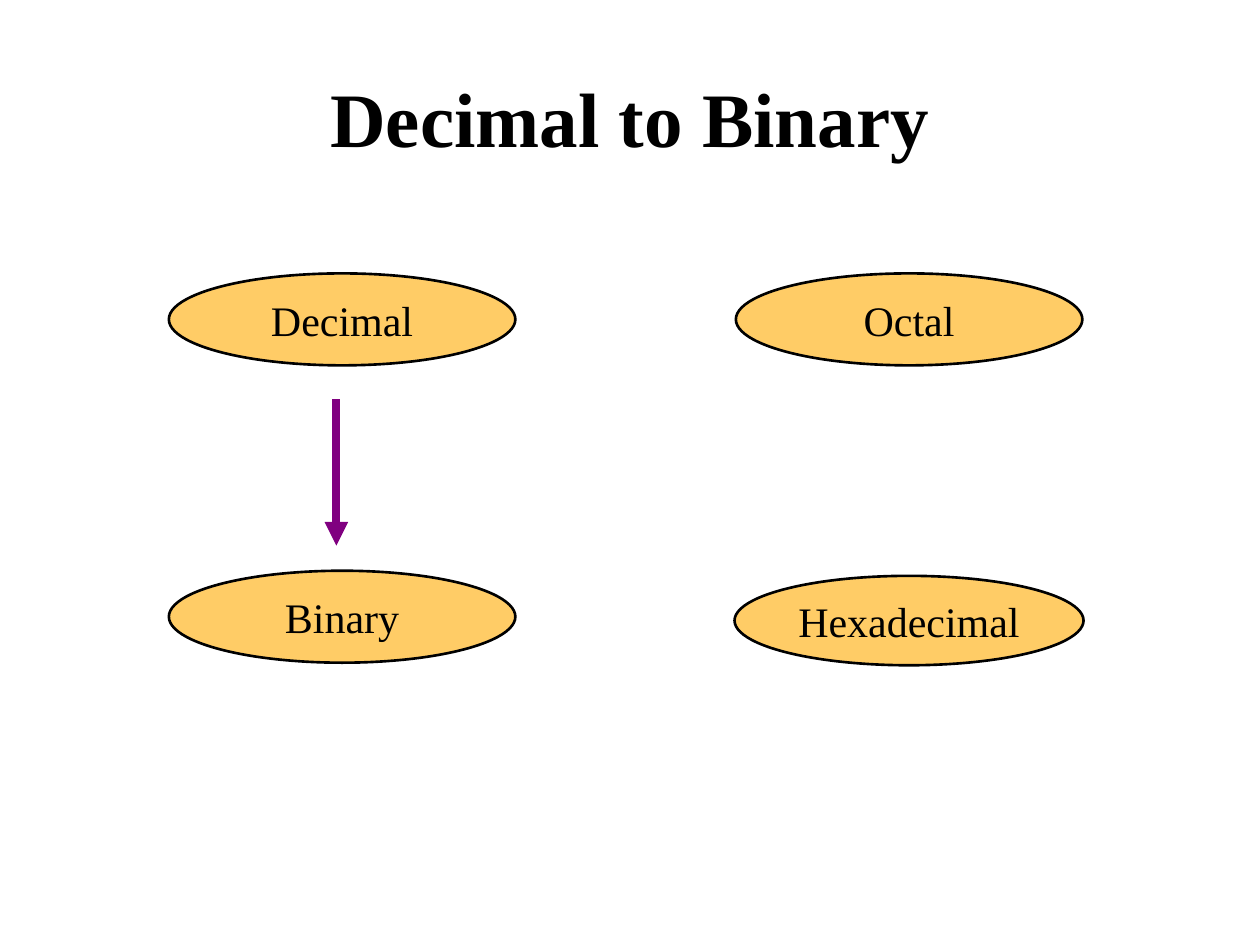
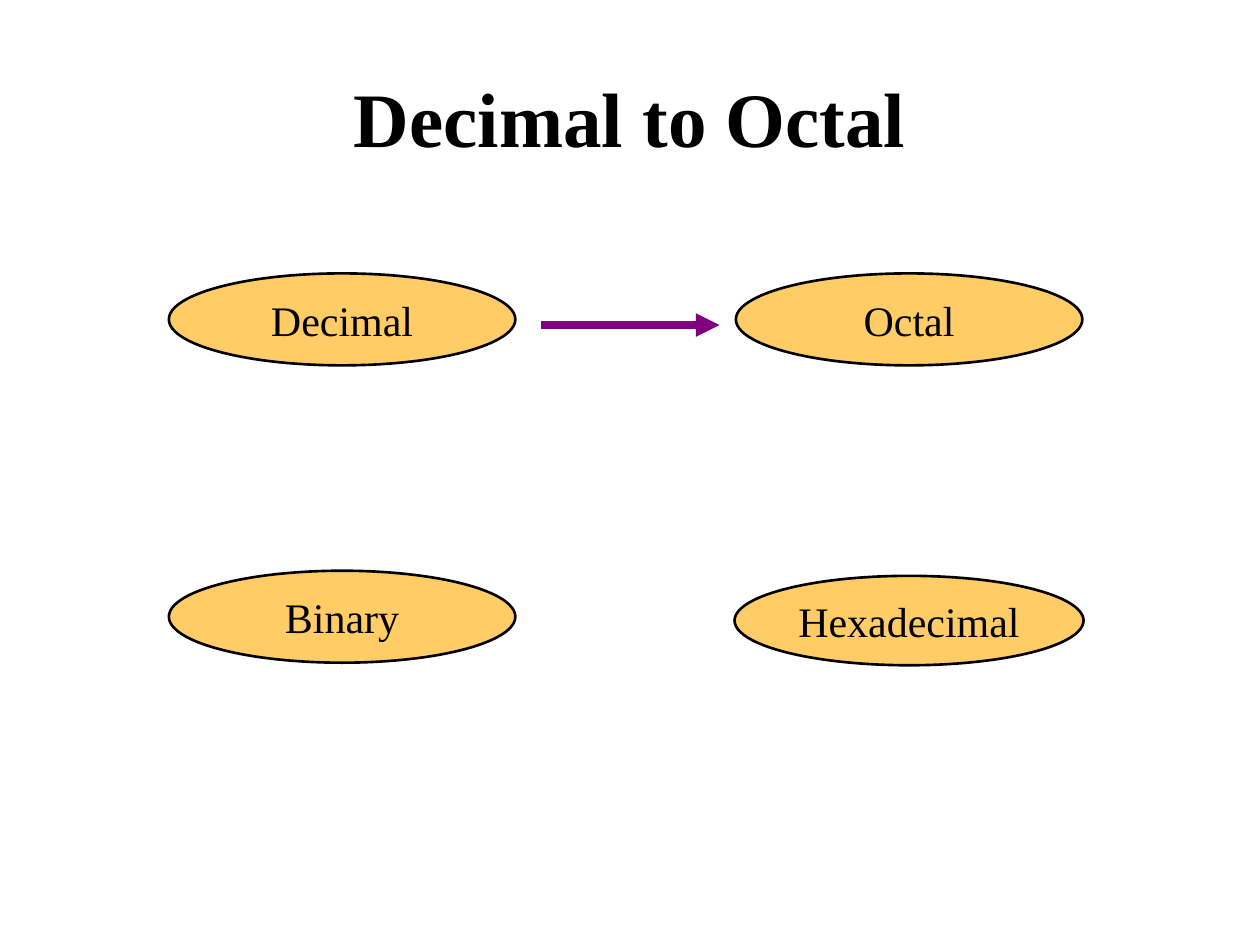
from dataclasses import dataclass

from lxml.etree import SubElement
from pptx import Presentation
from pptx.dml.color import RGBColor
from pptx.enum.shapes import MSO_CONNECTOR as Connector, MSO_SHAPE as Shape
from pptx.enum.text import MSO_ANCHOR as Anchor, MSO_AUTO_SIZE as AutoSize, PP_ALIGN as Align
from pptx.oxml.ns import qn
from pptx.util import Inches, Pt


@dataclass(frozen=True)
class Theme:
    font: str = "Times New Roman"
    ink: RGBColor = RGBColor(0x00, 0x00, 0x00)
    paper: RGBColor = RGBColor(0xFF, 0xFF, 0xFF)
    oval: RGBColor = RGBColor(0xFF, 0xCC, 0x66)
    arrow: RGBColor = RGBColor(0x80, 0x00, 0x80)
    title_size: int = 44
    label_size: int = 24
    outline: float = 1.5
    arrow_width: float = 4.5


THEME = Theme()
TITLE_BOX = (0.5, 0.3, 9, 1.25)
LEFT, RIGHT, TOP, BOTTOM = 1.34, 5.84, 2.17, 4.53
OVAL_SIZE = (2.75, 0.73)

# Label, box, sizing rule
NUMBER_SYSTEMS = [
    ("Hexadecimal", (5.83, 4.57, 2.77, 0.71), AutoSize.SHAPE_TO_FIT_TEXT),
    ("Decimal", (LEFT, TOP, *OVAL_SIZE), AutoSize.NONE),
    ("Octal", (RIGHT, TOP, *OVAL_SIZE), AutoSize.NONE),
    ("Binary", (LEFT, BOTTOM, *OVAL_SIZE), AutoSize.NONE),
]

# Title, arrow start, arrow end
CONVERSIONS = [
    ("Decimal to Binary", (2.67, 3.17), (2.67, 4.33)),
    ("Decimal to Octal", (4.29, 2.58), (5.71, 2.58)),
]


def set_attributes(target, values):
    for name, value in values.items():
        setattr(target, name, value)


def inches(lengths):
    return [Inches(length) for length in lengths]


def write_centred(shape, text, size, bold=False):
    frame = shape.text_frame
    frame.text = text
    frame.vertical_anchor = Anchor.MIDDLE
    paragraph = frame.paragraphs[0]
    paragraph.alignment = Align.CENTER
    font = paragraph.runs[0].font
    set_attributes(font, {"name": THEME.font, "size": Pt(size), "bold": bold})
    font.color.rgb = THEME.ink


def add_title(slide, text):
    title = slide.shapes.title
    set_attributes(title, dict(zip(("left", "top", "width", "height"), inches(TITLE_BOX))))
    write_centred(title, text, THEME.title_size, bold=True)


def add_oval(slide, label, box, auto_size):
    oval = slide.shapes.add_shape(Shape.OVAL, *inches(box))
    oval.shadow.inherit = False
    oval.fill.solid()
    oval.fill.fore_color.rgb = THEME.oval
    oval.line.color.rgb = THEME.ink
    oval.line.width = Pt(THEME.outline)
    write_centred(oval, label, THEME.label_size)
    set_attributes(oval.text_frame, {"word_wrap": False, "auto_size": auto_size})


def add_arrow(slide, start, end):
    arrow = slide.shapes.add_connector(Connector.STRAIGHT, *inches(start + end))
    arrow.line.color.rgb = THEME.arrow
    arrow.line.width = Pt(THEME.arrow_width)
    SubElement(arrow.line._get_or_add_ln(), qn("a:tailEnd"), type="triangle")
    SubElement(arrow._element.spPr, qn("a:effectLst"))


def add_conversion_slide(presentation, title, start, end):
    slide = presentation.slides.add_slide(presentation.slide_layouts.get_by_name("Title Only"))
    slide.background.fill.solid()
    slide.background.fill.fore_color.rgb = THEME.paper
    add_title(slide, title)
    for label, box, auto_size in NUMBER_SYSTEMS:
        add_oval(slide, label, box, auto_size)
    add_arrow(slide, start, end)


def main():
    presentation = Presentation()
    set_attributes(presentation, {"slide_width": Inches(10), "slide_height": Inches(7.5)})
    for title, start, end in CONVERSIONS:
        add_conversion_slide(presentation, title, start, end)
    presentation.save("out.pptx")


if __name__ == "__main__":
    main()
